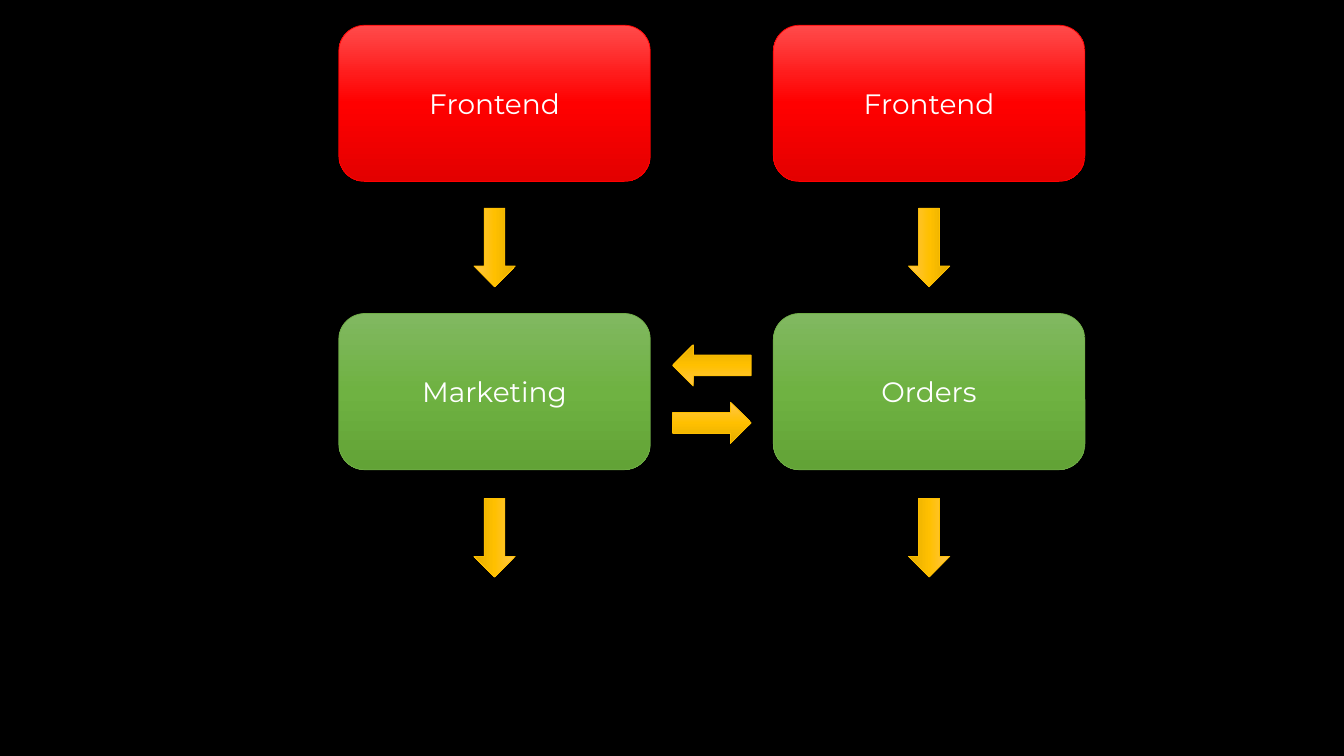
import copy

import pptx
import pptx.util
import pptx.dml.color
import pptx.enum.shapes
import pptx.enum.text
import pptx.oxml.ns

Inches = pptx.util.Inches
SHAPE = pptx.enum.shapes.MSO_SHAPE
RED = ("FF4B4B", "FF0000", "E30000")
GREEN = ("81B861", "6FB242", "62A336")
GOLD = ("FFC64B", "FFC000", "E3AB00")
BOX_W, BOX_H = 3.09, 1.55
ARROW_W, ARROW_H = 0.78, 0.41


def tint(color, code):
    color.rgb = pptx.dml.color.RGBColor.from_string(code)


def shade(fill, stops, codes):
    fill.gradient()
    fill.gradient_angle = 270
    stops.insert(1, copy.deepcopy(stops[0]))
    for stop, code, place in zip(fill.gradient_stops, codes, (0, 0.5, 1)):
        stop.position = place
        tint(stop.color, code)


def add_form(slide, kind, left, top, width, height, codes, edge):
    form = slide.shapes.add_shape(
        kind, Inches(left), Inches(top), Inches(width), Inches(height))
    form.shadow.inherit = False
    form.fill.gradient()
    stops = form._element.spPr.find(".//" + pptx.oxml.ns.qn("a:gsLst"))
    shade(form.fill, stops, codes)
    tint(form.line.color, edge)
    form.line.width = pptx.util.Pt(0.5)
    return form


def write(frame, text, size=20, font="Montserrat", color="FFFFFF"):
    frame.word_wrap = True
    frame.vertical_anchor = pptx.enum.text.MSO_ANCHOR.MIDDLE
    para = frame.paragraphs[0]
    para.alignment = pptx.enum.text.PP_ALIGN.CENTER
    run = para.add_run()
    run.text = text
    run.font.size = pptx.util.Pt(size)
    run.font.name = font
    tint(run.font.color, color)


def add_box(slide, text, left, top, codes, edge):
    box = add_form(slide, SHAPE.ROUNDED_RECTANGLE, left, top,
                   BOX_W, BOX_H, codes, edge)
    write(box.text_frame, text)


def add_arrow(slide, left, top, turn=0, flip=False):
    arrow = add_form(slide, SHAPE.RIGHT_ARROW, left, top,
                     ARROW_W, ARROW_H, GOLD, "FFC000")
    arrow.rotation = turn
    if flip:
        frame = arrow._element.spPr.find(pptx.oxml.ns.qn("a:xfrm"))
        frame.set("flipH", "1")


def main():
    deck = pptx.Presentation()
    deck.slide_width = Inches(13.33)
    deck.slide_height = Inches(7.5)
    slide = deck.slides.add_slide(deck.slide_layouts[6])
    back = slide.background.fill
    back.solid()
    tint(back.fore_color, "000000")

    for left, service in ((3.36, "Marketing"), (7.67, "Orders")):
        add_box(slide, "Frontend", left, 0.25, RED, "FF0000")
        add_box(slide, service, left, 3.11, GREEN, "70AD47")
        middle = left + (BOX_W - ARROW_W) / 2
        add_arrow(slide, middle, 2.25, turn=270, flip=True)
        add_arrow(slide, middle, 5.13, turn=90)

    add_arrow(slide, 6.67, 3.42, turn=180)
    add_arrow(slide, 6.67, 3.99)
    deck.save("out.pptx")


if __name__ == "__main__":
    main()
